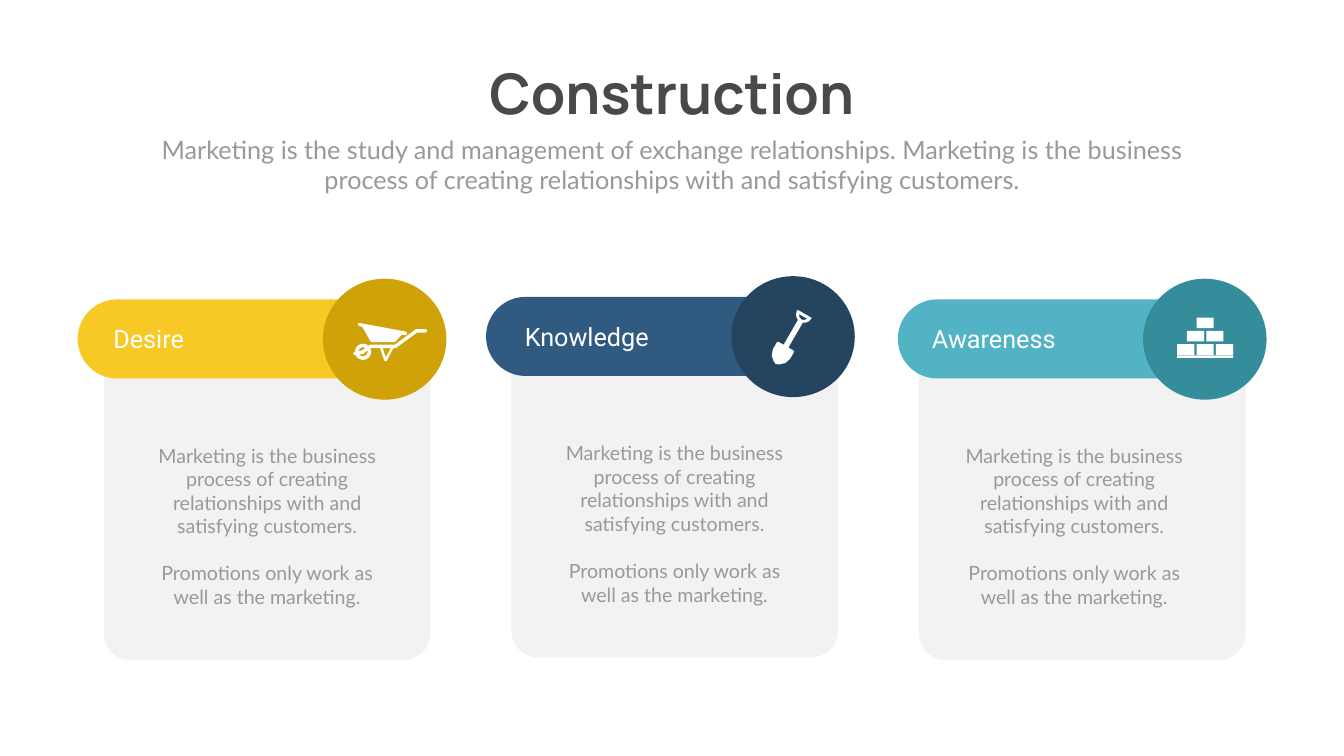
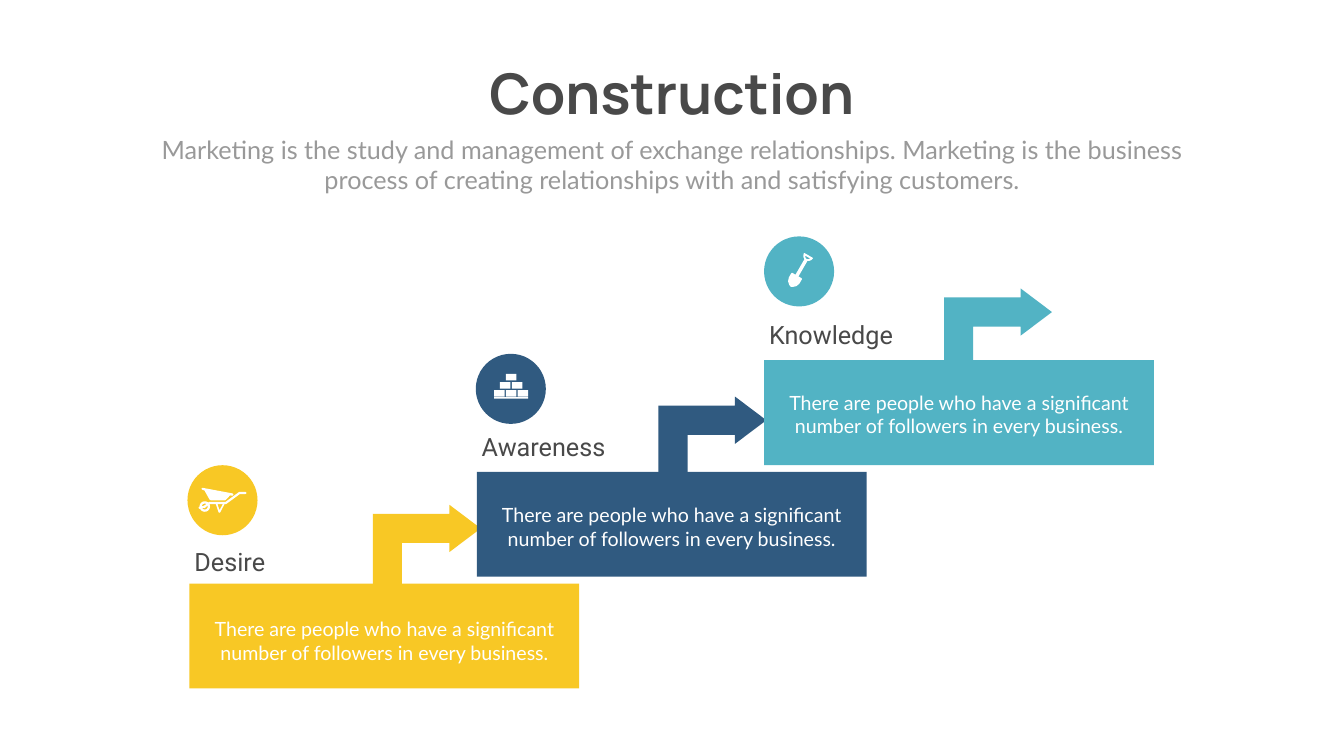
import dataclasses
import math

import pptx
import pptx.dml.color
import pptx.enum.shapes
import pptx.enum.text
import pptx.oxml.ns
import pptx.util

SHAPES = pptx.enum.shapes.MSO_SHAPE
ALIGN = pptx.enum.text.PP_ALIGN


@dataclasses.dataclass(frozen=True)
class Theme:
    # Colours
    white: str = "FFFFFF"
    panel: str = "F2F2F2"
    dark: str = "494949"
    grey: str = "999999"
    yellow: str = "F8C825"
    ochre: str = "CFA207"
    blue: str = "305A80"
    navy: str = "244460"
    teal: str = "52B3C4"
    deep_teal: str = "358C9B"
    # Fonts and type sizes
    title_font: str = "Manrope"
    label_font: str = "Roboto"
    body_font: str = "Lato"
    title_size: int = 80
    label_size: int = 36
    body_size: int = 28
    paragraph_gap: int = 34


# Icon outlines: each icon is a list of parts, each part a list of contours
def ring(x, y, *radii, corners=36):
    turns = [2 * math.pi * n / corners for n in range(corners)]
    return [[(x + r * math.cos(t), y + r * math.sin(t)) for t in turns] for r in radii]


def block(x, y, width, height):
    return [(x, y), (x + width, y), (x + width, y + height), (x, y + height)]


def mirrored(half, width):
    return half + [(width - x, y) for x, y in reversed(half)]


WHEEL = ring(19, 57, 16, 9)
FRAME = [
    [(142, 12), (125, 12), (123, 13), (82, 43), (33, 43), (31, 44), (19, 53),
     (15, 55), (3, 57), (0, 59), (0, 62), (3, 64), (17, 61), (19, 62), (23, 58),
     (34, 50), (53, 50), (61, 74), (63, 76), (66, 75), (79, 50), (83, 50),
     (85, 49), (126, 19), (142, 19), (145, 18), (146, 16), (145, 13)],
    [(64, 68), (58, 50), (74, 50)],
]
TUB = [[(104, 17), (13, 0), (10, 0), (9, 2), (10, 5), (12, 6), (18, 8), (33, 35),
        (35, 37), (38, 38), (77, 38), (81, 38), (84, 36), (96, 23), (102, 24),
        (105, 24), (106, 21), (106, 19)]]
BARROW = [WHEEL, FRAME, TUB]

BRICKS = [[block(0, 75, 111, 5)] + [
    block(38.5 - 19.25 * course + 38.5 * n, 26.5 * course, 34, 21)
    for course in range(3) for n in range(course + 1)
]]

SHOVEL = [[
    mirrored([(32, 0), (35, 0), (36, 2), (34, 9), (30, 14), (25, 17), (25, 74),
              (36, 74), (38, 75), (39, 77), (39, 92), (35, 104), (26, 112),
              (19.5, 115)], 39),
    mirrored([(29, 6), (25, 11), (19.5, 13)], 39),
]]


class Deck:
    """Holds the theme and the current slide, measured in 80 columns by 45 rows."""

    COLUMNS, ROWS = 80, 45

    def __init__(self, theme):
        self.theme = theme
        self.show = pptx.Presentation()
        self.show.slide_width = pptx.util.Inches(26.66)
        self.show.slide_height = pptx.util.Inches(15)
        self.column = self.show.slide_width / self.COLUMNS
        self.row = self.show.slide_height / self.ROWS
        self.slide = None

    def new_slide(self):
        self.slide = self.show.slides.add_slide(self.show.slide_layouts[6])

    def frame(self, col, row, cols, rows):
        return (round(col * self.column), round(row * self.row),
                round(cols * self.column), round(rows * self.row))

    def paint(self, shape, colour):
        shape.shadow.inherit = False
        shape.fill.solid()
        shape.fill.fore_color.rgb = pptx.dml.color.RGBColor.from_string(colour)
        shape.line.fill.background()

    def shape(self, kind, box, colour, adjust=()):
        shape = self.slide.shapes.add_shape(kind, *self.frame(*box))
        for n, value in enumerate(adjust):
            shape.adjustments[n] = value
        self.paint(shape, colour)
        return shape

    def add_text(self, text, box, *, font, size, colour, bold=False,
                 align=ALIGN.LEFT, wrap=True, gap=0):
        area = self.slide.shapes.add_textbox(*self.frame(*box)).text_frame
        area.word_wrap = wrap
        area.auto_size = pptx.enum.text.MSO_AUTO_SIZE.SHAPE_TO_FIT_TEXT
        area.text = text
        for n, paragraph in enumerate(area.paragraphs):
            paragraph.alignment = align
            if n and gap:
                paragraph.space_before = pptx.util.Pt(gap)
            for run in paragraph.runs:
                run.font.name = font
                run.font.size = pptx.util.Pt(size)
                run.font.bold = bold
                run.font.color.rgb = pptx.dml.color.RGBColor.from_string(colour)

    def label(self, text, box, colour):
        self.add_text(text, box, font=self.theme.label_font,
                      size=self.theme.label_size, colour=colour)

    def body(self, text, box, colour):
        self.add_text(text, box, font=self.theme.body_font, size=self.theme.body_size,
                      colour=colour, align=ALIGN.CENTER, gap=self.theme.paragraph_gap)

    def heading(self, title, subtitle):
        theme = self.theme
        self.add_text(title, (28.33, 3.36, 23.34, 4.35), font=theme.title_font,
                      size=theme.title_size, colour=theme.dark, bold=True,
                      align=ALIGN.CENTER, wrap=False)
        self.add_text(subtitle, (8.76, 7.83, 62.48, 3.93), font=theme.body_font,
                      size=theme.label_size, colour=theme.grey, align=ALIGN.CENTER)

    def icon(self, parts, col, row, scale=3.0, turn=0):
        """Draw an icon; scale is the number of rows per 100 outline units."""
        unit = scale * self.row / 100
        for contours in parts:
            placed = [[(round(col * self.column + x * unit), round(row * self.row + y * unit))
                       for x, y in contour] for contour in contours]
            builder = self.slide.shapes.build_freeform(*placed[0][0], scale=1.0)
            for n, contour in enumerate(placed):
                if n:
                    builder.move_to(*contour[0])
                builder.add_line_segments(contour[1:], close=True)
            part = builder.convert_to_shape()
            self.paint(part, self.theme.white)
            part.rotation = turn

    def turn_arrow(self, col, row, colour):
        arrow = self.shape(SHAPES.BENT_UP_ARROW, (col, row, 4.71, 6.42), colour,
                           (0.368, 0.299, 0.397))
        arrow.rotation = 270
        arrow._element.spPr.find(pptx.oxml.ns.qn("a:xfrm")).set("flipV", "1")


TITLE = "Construction"
SUBTITLE = ("Marketing is the study and management of exchange relationships. Marketing is "
            "the business process of creating relationships with and satisfying customers.")
CARD_TEXT = ("Marketing is the business process of creating relationships with and "
             "satisfying customers.\nPromotions only work as well as the marketing.")
STEP_TEXT = "There are people who have a significant number of followers in every business."


def cards_slide(deck):
    theme = deck.theme
    deck.new_slide()
    deck.heading(TITLE, SUBTITLE)
    # name, colours, columns of bar, label and text, rows of bar and card, icon
    cards = [
        ("Desire", theme.yellow, theme.ochre, 4.62, 6.45, 8.37, 17.82, 19.98,
         (BARROW, 21.04, 19.23)),
        ("Knowledge", theme.blue, theme.navy, 28.93, 30.94, 32.62, 17.67, 18.27,
         (SHOVEL, 46.45, 18.45, 3, 30)),
        ("Awareness", theme.teal, theme.deep_teal, 53.44, 55.18, 56.41, 17.82, 19.98,
         (BRICKS, 70.07, 18.9)),
    ]
    for n, (name, light, deep, bar, label, text, row, top, icon) in enumerate(cards):
        card = (6.18 + 24.26 * n, top, 19.44, row + 21.46 - top)
        deck.shape(SHAPES.ROUNDED_RECTANGLE, card, theme.panel, (0.082,))
        deck.shape(SHAPES.ROUNDED_RECTANGLE, (bar, row, 21, 4.71), light, (0.5,))
        deck.shape(SHAPES.OVAL, (bar + 14.6, row - 1.23, 7.35, 7.2), deep)
        deck.label(name, (label, row + 1.3, 13.32, 2.13), theme.white)
        deck.body(CARD_TEXT, (text, row + 8.43, 15.06, 10.2), theme.grey)
        deck.icon(*icon)


def steps_slide(deck):
    theme = deck.theme
    deck.new_slide()
    deck.heading(TITLE, SUBTITLE)
    # name, colour, rows of badge, label and text, icon
    steps = [
        ("Desire", theme.yellow, 27.69, 32.37, 36.6, (BARROW, 11.82, 29.04, 1.95)),
        ("Awareness", theme.blue, 21.06, 25.53, 29.79, (BRICKS, 29.41, 22.26, 1.83)),
        ("Knowledge", theme.teal, 14.07, 18.84, 23.1, (SHOVEL, 47.23, 15.06, 1.87, 30)),
    ]
    for n, (name, colour, badge, label, text, icon) in enumerate(steps):
        col = 11.28 + 17.1 * n
        deck.shape(SHAPES.RECTANGLE, (col, 34.74 - 6.65 * n, 23.2, 6.24), colour)
        deck.turn_arrow(23.05 + 17 * n, 29.19 - 6.44 * n, colour)
        deck.label(name, (col, label, 12.84, 2.13), theme.dark)
        deck.body(STEP_TEXT, (col, text, 23.2, 3.12), theme.white)
        deck.shape(SHAPES.OVAL, (11.16 + 17.16 * n, badge, 4.17, 4.17), colour)
        deck.icon(*icon)


def main():
    deck = Deck(Theme())
    cards_slide(deck)
    steps_slide(deck)
    deck.show.save("out.pptx")


if __name__ == "__main__":
    main()
